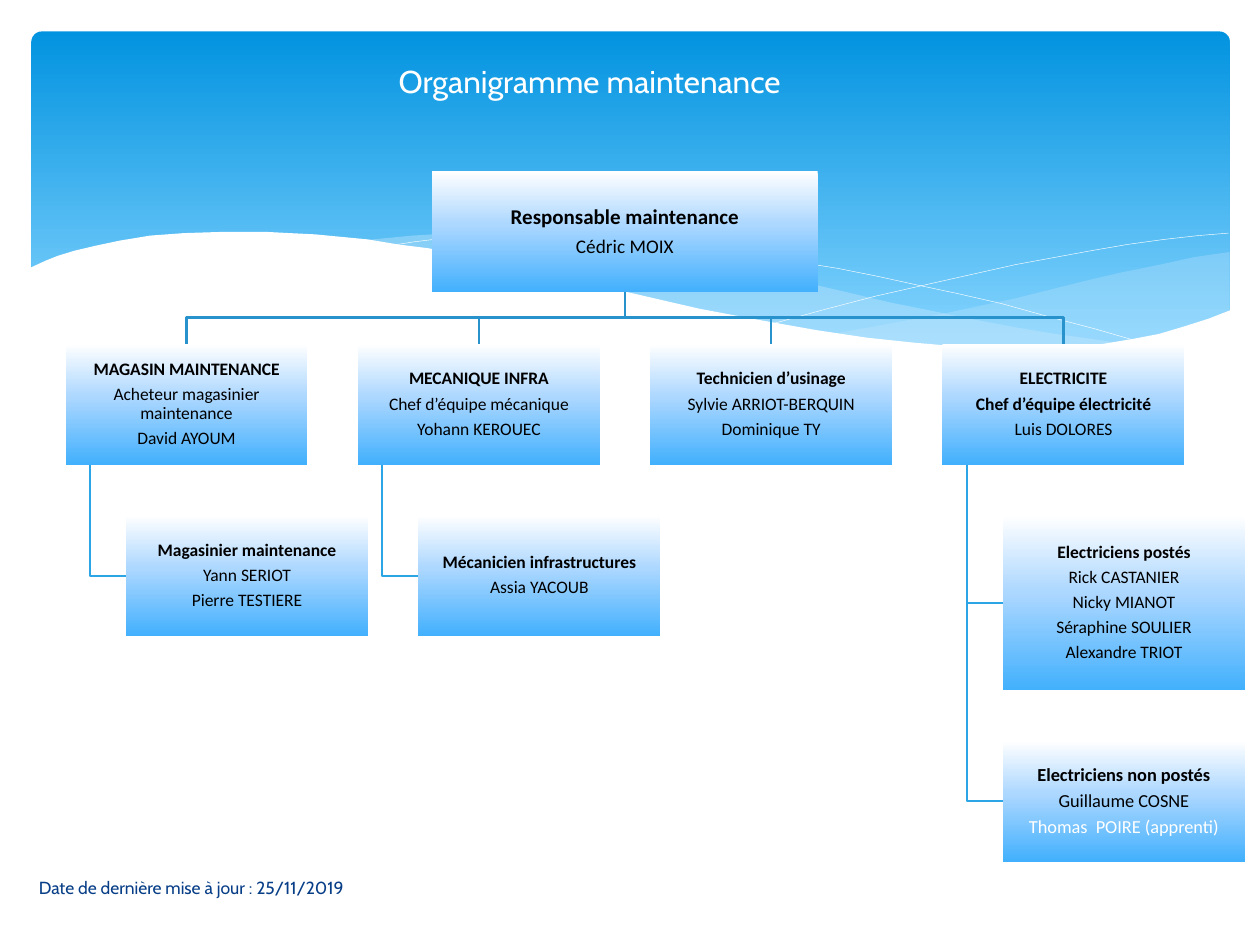
from collections import namedtuple
from dataclasses import dataclass

from lxml.etree import SubElement as Sub
from pptx import Presentation
from pptx.dml.color import RGBColor as Rgb
from pptx.enum.shapes import MSO_SHAPE as Kind
from pptx.enum.text import MSO_ANCHOR as Anchor, MSO_AUTO_SIZE as Auto, PP_ALIGN as Align
from pptx.oxml.ns import qn
from pptx.util import Inches, Pt

Box = namedtuple("Box", "x y w h")


@dataclass(frozen=True)
class Theme:
    white: str = "FFFFFF"
    black: str = "000000"
    navy: str = "073E87"
    mist: str = "C6E7FC"
    trunk: str = "2792CB"
    branch: str = "2CA5E6"
    sky: tuple = ((0, "0293E0"), (90, "83D3FE"))
    card: tuple = ((0, "FFFFFF"), (44, "ACD7FF"), (100, "42B0FD"))
    head: str = "Cabin"
    body: str = "Calibri"
    title: float = 18
    chief: tuple = (12, 11)
    team: tuple = (10, 10)
    crew: tuple = (10.5, 10.5)
    note: float = 10
    wire: float = 1.25
    hair: float = 0.25


T = Theme()

RIGHT = [(9.76, 2), (9.48, 2.04), (9.21, 2.1), (8.91, 2.16), (8.61, 2.23), (8.05, 2.37),
         (7.53, 2.48), (7.06, 2.57), (6.61, 2.65), (6.91, 2.69), (7.19, 2.72), (7.45, 2.75),
         (7.69, 2.77), (8.03, 2.78), (8.35, 2.77), (8.63, 2.75), (8.89, 2.72), (9.13, 2.67),
         (9.35, 2.62), (9.49, 2.57), (9.63, 2.52), (9.76, 2.47)]
MID = [(8.93, 2.73), (8.66, 2.69), (8.37, 2.65), (8.07, 2.6), (7.75, 2.54), (7.41, 2.47),
       (7.06, 2.4), (6.68, 2.31), (6.29, 2.22), (5.98, 2.14), (5.69, 2.08), (5.41, 2.03),
       (5.14, 1.98), (4.89, 1.94), (4.65, 1.91), (4.42, 1.89), (4.2, 1.87), (3.99, 1.86),
       (3.8, 1.85), (3.61, 1.85), (3.28, 1.87), (2.86, 1.91), (3.23, 1.96), (3.62, 2.03),
       (4.04, 2.11), (4.49, 2.22), (4.91, 2.32), (5.3, 2.4), (5.66, 2.48), (6.01, 2.55),
       (6.34, 2.61), (6.65, 2.66), (6.95, 2.7), (7.22, 2.74), (7.48, 2.76), (7.73, 2.77),
       (7.96, 2.78), (8.28, 2.78), (8.57, 2.77), (8.76, 2.75)]
FALL = [(3.09, 1.95), (3.28, 1.92), (3.53, 1.89), (3.87, 1.87), (4.33, 1.87), (4.69, 1.89),
        (5.1, 1.92), (5.56, 1.97), (6.08, 2.04), (6.65, 2.13), (6.95, 2.19), (7.27, 2.26),
        (7.6, 2.33), (7.95, 2.41), (8.31, 2.51), (8.69, 2.61), (9.07, 2.72)]
RISE = [(6.13, 2.57), (6.53, 2.46), (6.95, 2.35), (7.48, 2.23), (8.06, 2.1), (8.66, 1.99),
        (8.95, 1.94), (9.24, 1.9), (9.51, 1.87), (9.75, 1.85)]
FRONT = [(9.77, 2.46), (9.59, 2.53), (9.4, 2.59), (9.2, 2.65), (8.99, 2.69), (8.75, 2.73),
         (8.5, 2.75), (8.23, 2.77), (7.93, 2.76), (7.61, 2.75), (7.26, 2.72), (6.88, 2.68),
         (6.48, 2.62), (6.03, 2.54), (5.55, 2.45), (5.03, 2.33), (4.47, 2.2), (4.18, 2.13),
         (3.91, 2.07), (3.65, 2.02), (3.4, 1.97), (3.16, 1.94), (2.92, 1.9), (2.71, 1.88),
         (2.5, 1.86), (2.3, 1.85), (2.11, 1.84), (1.77, 1.84), (1.46, 1.85), (1.19, 1.87),
         (0.95, 1.91), (0.76, 1.95), (0.59, 1.99), (0.46, 2.03), (0.36, 2.07), (0.23, 2.13),
         (0.23, 3.29), (9.77, 3.29)]

CHIEF = ["Responsable maintenance", "Cédric MOIX"]
TEAMS = [
    (["MAGASIN MAINTENANCE", "Acheteur magasinier maintenance", "David AYOUM"], 1,
     [(["Magasinier maintenance", "Yann SERIOT", "Pierre TESTIERE"], 0.96, T.team)]),
    (["MECANIQUE INFRA", "Chef d’équipe mécanique", "Yohann KEROUEC"], 1,
     [(["Mécanicien infrastructures", "Assia YACOUB"], 0.96, T.team)]),
    (["Technicien d’usinage", "Sylvie ARRIOT-BERQUIN", "Dominique TY"], 1, []),
    (["ELECTRICITE", "Chef d’équipe électricité", "Luis DOLORES"], 2,
     [(["Electriciens postés", "Rick CASTANIER", "Nicky MIANOT", "Séraphine SOULIER",
        "Alexandre TRIOT"], 1.39, T.team),
      (["Electriciens non postés", "Guillaume COSNE", "Thomas  POIRE (apprenti)"], 0.96,
       T.crew)]),
]


def apply(item, form):
    for key, val in form.items():
        setattr(item, key, val)


def place(item, box):
    apply(item, dict(zip(("left", "top", "width", "height"), map(Inches, box))))


def style(font, name, size, tint, bold=False):
    apply(font, {"name": name, "size": Pt(size), "bold": bold})
    font.color.rgb = Rgb.from_string(tint)


def shade(shape, stops):
    shape.fill.gradient()
    shape.fill.gradient_angle = 270
    group = shape._element.spPr.find(".//" + qn("a:gsLst"))
    for old in list(group):
        group.remove(old)
    for spot, tint in stops:
        stop = Sub(group, qn("a:gs"), pos=str(spot * 1000))
        Sub(stop, qn("a:srgbClr"), val=tint)
    shape.line.fill.background()
    shape.shadow.inherit = False


def trace(slide, box, dots, fill=None, alpha=100, line=None, width=1):
    spots = [(Inches(box.x + x), Inches(box.y + y)) for x, y in dots]
    pen = slide.shapes.build_freeform(*spots[0], scale=1.0)
    pen.add_line_segments(spots[1:], close=fill is not None)
    shape = pen.convert_to_shape()
    shape.shadow.inherit = False
    if fill:
        shape.fill.solid()
        shape.fill.fore_color.rgb = Rgb.from_string(fill)
        tone = shape._element.spPr.find(".//" + qn("a:srgbClr"))
        if alpha < 100:
            Sub(tone, qn("a:alpha"), val=str(alpha * 1000))
    else:
        shape.fill.background()
    if line:
        shape.line.color.rgb = Rgb.from_string(line)
        shape.line.width = Pt(width)
    else:
        shape.line.fill.background()


def banner(slide, box):
    panel = slide.shapes.add_shape(
        Kind.ROUNDED_RECTANGLE, Inches(box.x + 0.25), Inches(box.y + 0.25),
        Inches(box.w - 0.49), Inches(2.7))
    panel.adjustments[0] = 0.03
    shade(panel, T.sky)
    trace(slide, box, RIGHT, T.mist, 29)
    trace(slide, box, MID, T.mist, 40)
    for dots in (FALL, RISE):
        trace(slide, box, dots, line=T.white, width=T.hair)
    trace(slide, box, FRONT, T.white)


def label(shape, box, text, size, tint, align):
    place(shape, box)
    frame = shape.text_frame
    apply(frame, {"text": text, "word_wrap": True, "auto_size": Auto.NONE,
                  "vertical_anchor": Anchor.MIDDLE})
    frame.paragraphs[0].alignment = align
    style(frame.paragraphs[0].runs[0].font, T.head, size, tint)


def card(slide, box, lines, sizes):
    shape = slide.shapes.add_shape(Kind.RECTANGLE, *map(Inches, box))
    shade(shape, T.card)
    frame = shape.text_frame
    apply(frame, {"word_wrap": True, "vertical_anchor": Anchor.MIDDLE})
    edges = ("margin_left", "margin_top", "margin_right", "margin_bottom")
    apply(frame, dict.fromkeys(edges, Inches(0.01)))
    for rank, text in enumerate(lines):
        para = frame.paragraphs[0] if rank == 0 else frame.add_paragraph()
        size = sizes[min(rank, 1)]
        apply(para, {"alignment": Align.CENTER, "line_spacing": 0.9,
                     "space_after": Pt(size * 0.35)})
        run = para.add_run()
        run.text = text
        bold = rank == 0 or text == "Chef d’équipe électricité"
        tint = T.white if "apprenti" in text else T.black
        style(run.font, T.body, size, tint, bold)


def chart(slide, box):
    gap, wide, high, step = 0.4, 1.92, 0.96, 2.32
    top = Box(box.x + 2.91, box.y, 3.06, high)
    mid, base = top.x + top.w / 2, top.y + top.h
    row = base + gap + 0.01
    cards, wires = [(top, CHIEF, T.chief)], []
    for col, (lines, _, crews) in enumerate(TEAMS):
        lead = Box(box.x + col * step, row, wide, high)
        cards.append((lead, lines, T.team))
        bend, core = base + gap / 2, lead.x + wide / 2
        wires.append(([(mid, base), (mid, bend), (core, bend), (core, row)], T.trunk))
        foot = y = row + high
        stem = lead.x + wide / 10
        for names, tall, sizes in crews:
            crew = Box(lead.x + wide / 4, y + gap, wide, tall)
            cards.append((crew, names, sizes))
            level = crew.y + tall / 2
            wires.append(([(stem, foot), (stem, level), (crew.x, level)], T.branch))
            y = crew.y + tall
    for dots, tint in wires:
        trace(slide, Box(0, 0, 0, 0), dots, line=tint, width=T.wire)
    for spot, lines, sizes in cards:
        card(slide, spot, lines, sizes)


def main():
    deck = Presentation()
    page = Box(0, 0, 10, 7.5)
    apply(deck, {"slide_width": Inches(page.w), "slide_height": Inches(page.h)})
    slide = deck.slides.add_slide(deck.slide_layouts[5])
    banner(slide, page)
    title = slide.shapes.title
    slide.shapes._spTree.append(title._element)
    label(title, Box(0.35, 0.29, 8.66, 0.71), "Organigramme maintenance",
          T.title, T.white, Align.CENTER)
    chart(slide, Box(0.52, 1.36, 9.36, 5.49))
    spot = Box(0.21, 6.84, 4.14, 0.4)
    note = slide.shapes.add_textbox(*map(Inches, spot))
    label(note, spot, "Date de dernière mise à jour : 25/11/2019", T.note, T.navy, Align.LEFT)
    deck.save("out.pptx")


if __name__ == "__main__":
    main()
